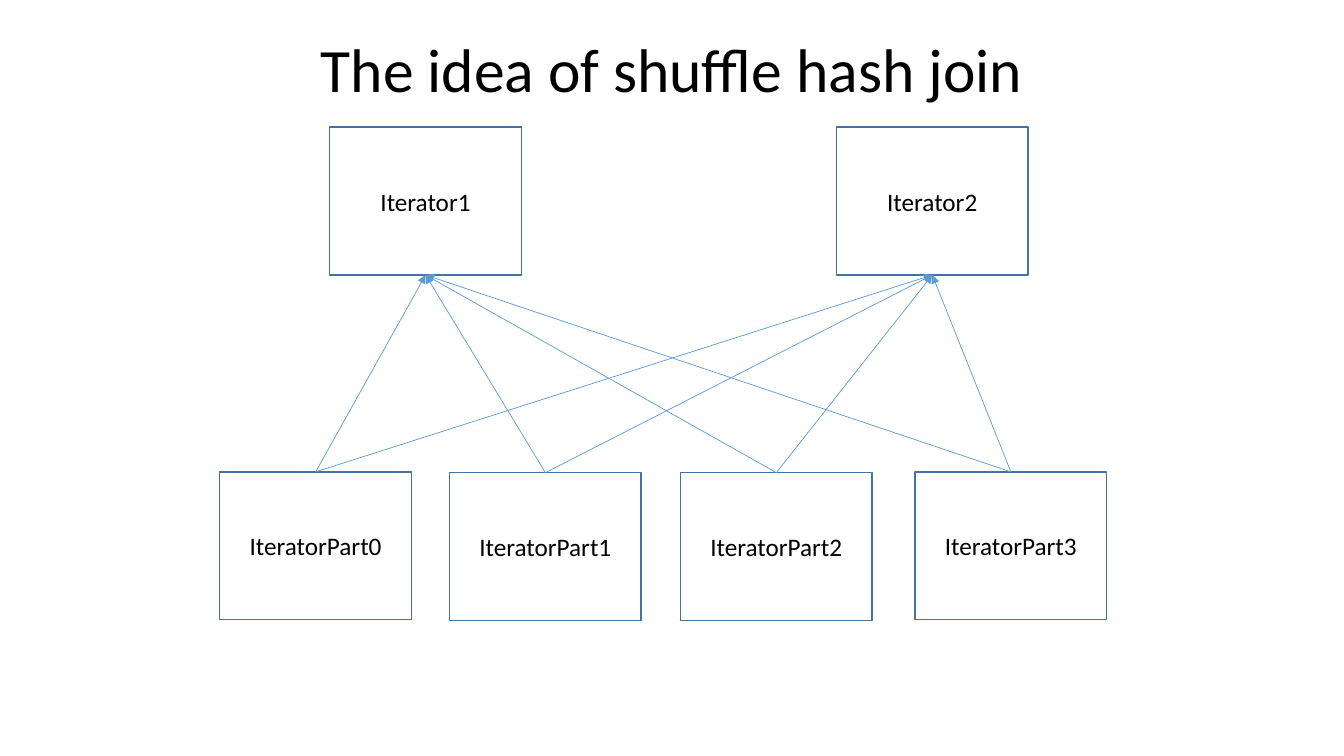
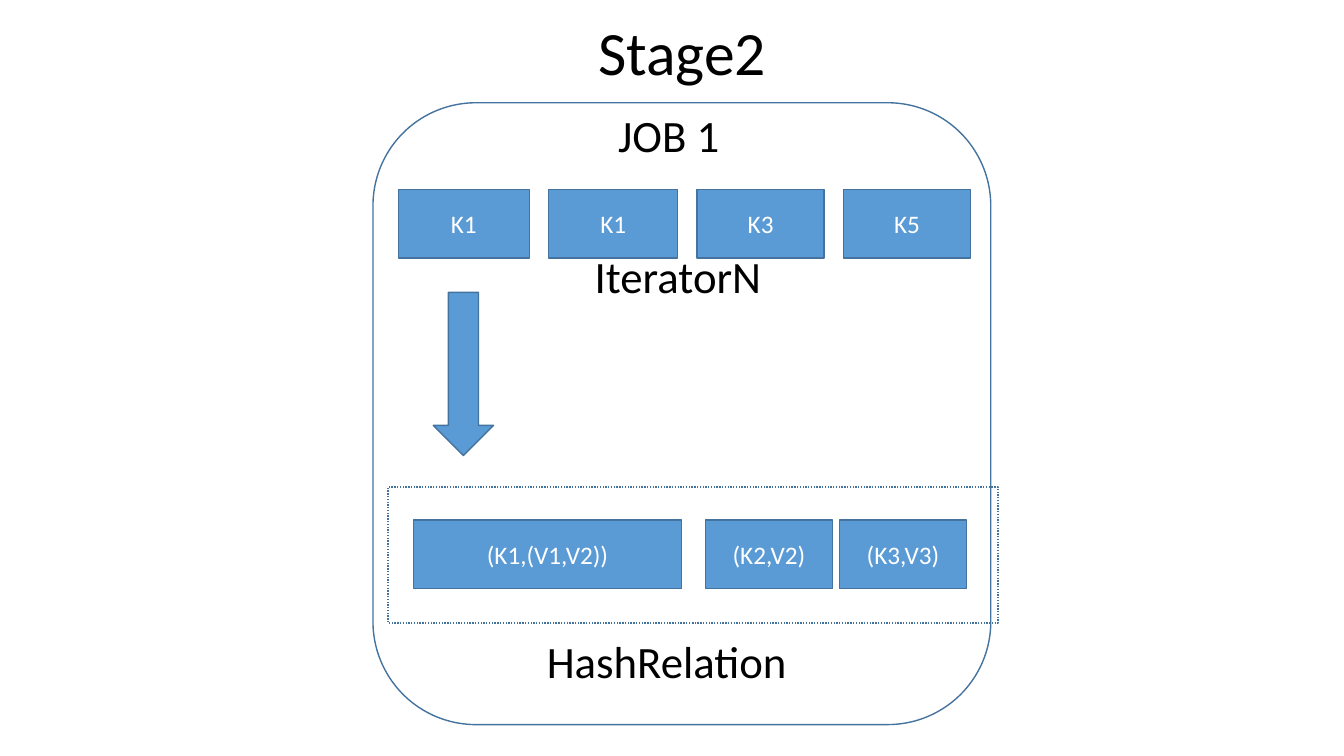
from dataclasses import dataclass

from lxml.etree import SubElement
from pptx import Presentation
from pptx.dml.color import RGBColor
from pptx.enum.dml import MSO_LINE
from pptx.enum.shapes import MSO_CONNECTOR, MSO_SHAPE
from pptx.enum.text import MSO_ANCHOR, PP_ALIGN
from pptx.oxml.ns import qn
from pptx.util import Cm, Pt

BLACK = RGBColor(0x00, 0x00, 0x00)
WHITE = RGBColor(0xFF, 0xFF, 0xFF)
BLUE = RGBColor(0x5B, 0x9B, 0xD5)
OUTLINE = RGBColor(0x43, 0x73, 0x9E)
FONT = "Calibri"

TOP_SITE, BOTTOM_SITE = 0, 2


@dataclass(frozen=True)
class Box:
    """A rectangle in centimetres."""
    left: float
    top: float
    width: float
    height: float

    def inner(self, left, top, width, height):
        """A box whose corner is measured from the corner of this one."""
        return Box(self.left + left, self.top + top, width, height)

    def lengths(self):
        return Cm(self.left), Cm(self.top), Cm(self.width), Cm(self.height)


def write(shape, text, size=18, color=BLACK, anchor=MSO_ANCHOR.MIDDLE, spacing=None):
    frame = shape.text_frame
    frame.word_wrap = True
    frame.vertical_anchor = anchor
    para = frame.paragraphs[0]
    para.alignment = PP_ALIGN.CENTER
    if spacing:
        para.line_spacing = spacing
    span = para.add_run()
    span.text = text
    span.font.name = FONT
    span.font.size = Pt(size)
    span.font.color.rgb = color


def add_text(page, box, text, **style):
    write(page.shapes.add_textbox(*box.lengths()), text, **style)


def add_title(page, box, text):
    add_text(page, box, text, size=44, spacing=0.9)


def add_caption(page, box, text):
    add_text(page, box, text, size=32, anchor=MSO_ANCHOR.TOP)


def add_block(page, box, text="", kind=MSO_SHAPE.RECTANGLE, fill=None, dash=None):
    shape = page.shapes.add_shape(kind, *box.lengths())
    shape.shadow.inherit = False
    if fill is None:
        shape.fill.background()
    else:
        shape.fill.solid()
        shape.fill.fore_color.rgb = fill
    shape.line.color.rgb = OUTLINE
    shape.line.width = Pt(1)
    if dash:
        shape.line.dash_style = dash
    if text:
        write(shape, text, color=BLACK if fill is None else WHITE)
    return shape


def add_arrow(page, source, target):
    """Join the top of source to the bottom of target."""
    arrow = page.shapes.add_connector(MSO_CONNECTOR.STRAIGHT, 0, 0, 0, 0)
    arrow.begin_connect(source, TOP_SITE)
    arrow.end_connect(target, BOTTOM_SITE)
    arrow.line.color.rgb = BLUE
    arrow.line.width = Pt(0.5)
    SubElement(arrow.line._get_or_add_ln(), qn("a:tailEnd"), type="triangle")
    SubElement(arrow._element.spPr, qn("a:effectLst"))


def add_shuffle(page, area):
    """Four partitions, each feeding both iterators."""
    width, height = 4.83, 3.73
    iterators = [
        add_block(page, area.inner(left, 0, width, height), f"Iterator{number}")
        for number, left in enumerate((2.77, 15.54), start=1)
    ]
    places = ((0, 8.69), (5.79, 8.71), (11.61, 8.71), (17.52, 8.69))
    parts = [
        add_block(page, area.inner(left, top, width, height), f"IteratorPart{number}")
        for number, (left, top) in enumerate(places)
    ]
    for part in parts:
        for iterator in iterators:
            add_arrow(page, part, iterator)


def add_keys(page, area):
    gap, left = 0.49, 0
    for key, width in (("K1", 3.3), ("K1", 3.25), ("K3", 3.2), ("K5", 3.2)):
        add_block(page, area.inner(left, 0, width, area.height), key, fill=BLUE)
        left += width + gap


def add_hash_relation(page, area):
    add_block(page, area, dash=MSO_LINE.ROUND_DOT)
    entries = (("(K1,(V1,V2))", 0.64, 6.76), ("(K2,V2)", 8, 3.2), ("(K3,V3)", 11.38, 3.2))
    for entry, left, width in entries:
        add_block(page, area.inner(left, 0.83, width, 1.73), entry, fill=BLUE)


def add_job(page, area):
    add_block(page, area, kind=MSO_SHAPE.ROUNDED_RECTANGLE)
    add_caption(page, area.inner(0.76, 0, 13.39, 1.63), "JOB 1")
    add_keys(page, area.inner(0.64, 2.18, 14.42, 1.73))
    add_caption(page, area.inner(0, 3.56, 15.37, 1.63), "IteratorN")
    add_block(page, area.inner(1.52, 4.78, 1.52, 4.11), kind=MSO_SHAPE.DOWN_ARROW, fill=BLUE)
    add_hash_relation(page, area.inner(0.38, 9.68, 15.37, 3.43))
    add_caption(page, area.inner(-0.28, 13.26, 15.37, 1.63), "HashRelation")


def main():
    deck = Presentation()
    deck.slide_width, deck.slide_height = Cm(33.87), Cm(19.05)
    blank = deck.slide_layouts[6]

    page = deck.slides.add_slide(blank)
    add_title(page, Box(0, 0, 33.87, 3.68), "The idea of shuffle hash join")
    add_shuffle(page, Box(5.54, 3.2, 22.35, 12.44))

    page = deck.slides.add_slide(blank)
    add_title(page, Box(2.59, -0.05, 29.21, 2.92), "Stage2")
    add_job(page, Box(9.4, 2.59, 15.57, 15.67))

    deck.save("out.pptx")


if __name__ == "__main__":
    main()
